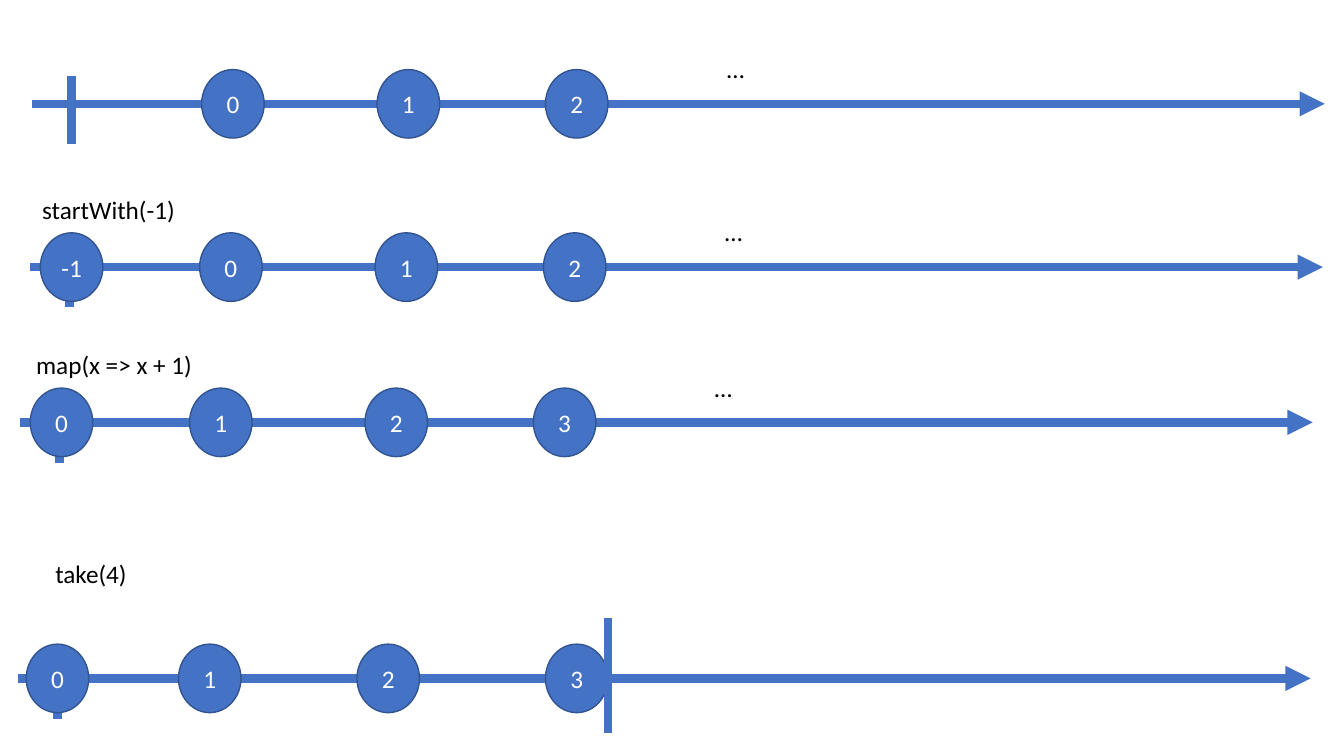
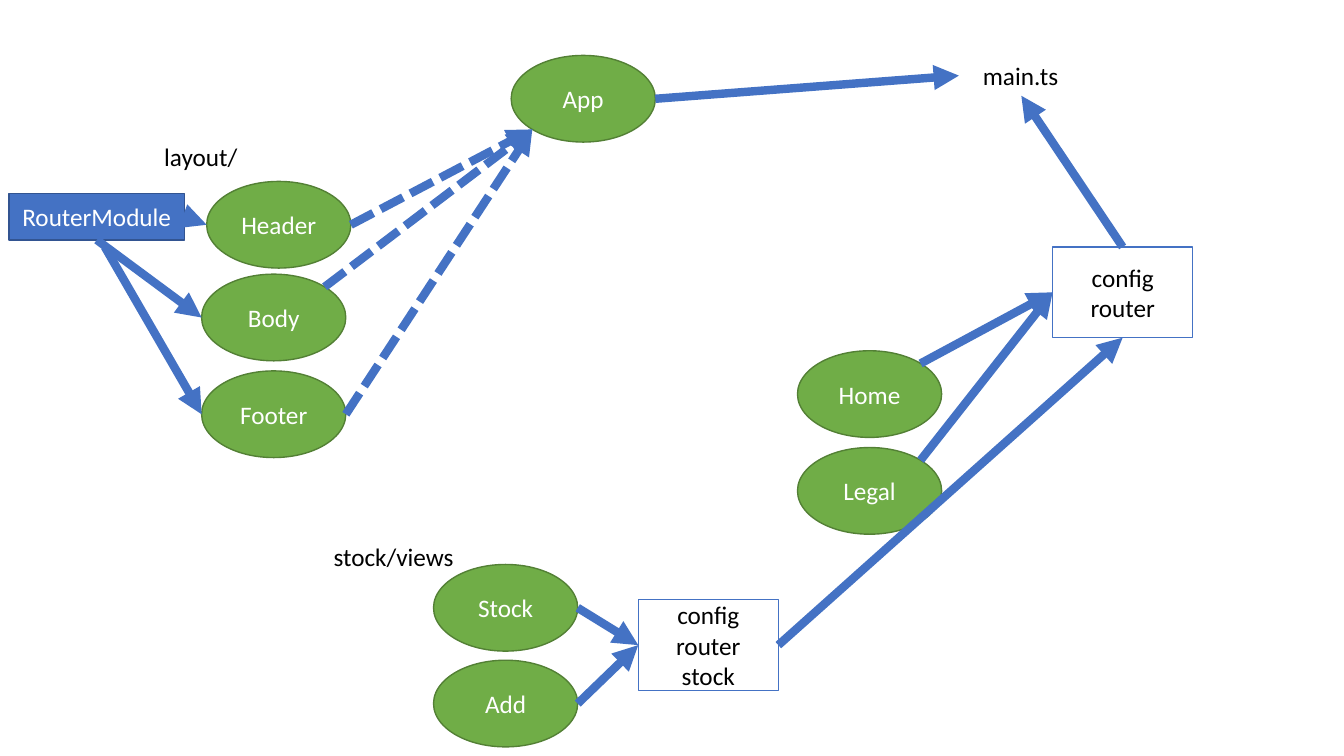
from math import sqrt

from lxml import etree
from pptx import Presentation
from pptx.dml.color import RGBColor
from pptx.enum.dml import MSO_LINE
from pptx.enum.shapes import MSO_CONNECTOR, MSO_SHAPE
from pptx.enum.text import MSO_ANCHOR, MSO_AUTO_SIZE, PP_ALIGN
from pptx.oxml.ns import qn
from pptx.util import Inches, Pt

OVAL, RECTANGLE = MSO_SHAPE.OVAL, MSO_SHAPE.RECTANGLE
STRAIGHT, DASHED = MSO_CONNECTOR.STRAIGHT, MSO_LINE.SQUARE_DOT
CENTER, LEFT = PP_ALIGN.CENTER, PP_ALIGN.LEFT
TOP, MIDDLE = MSO_ANCHOR.TOP, MSO_ANCHOR.MIDDLE
FIT_SHAPE = MSO_AUTO_SIZE.SHAPE_TO_FIT_TEXT

BLUE = RGBColor(0x44, 0x72, 0xC4)
DARK_BLUE = RGBColor(0x32, 0x54, 0x91)
GREEN = RGBColor(0x70, 0xAD, 0x47)
DARK_GREEN = RGBColor(0x53, 0x80, 0x35)
WHITE = RGBColor(0xFF, 0xFF, 0xFF)
BLACK = RGBColor(0, 0, 0)
FONT = "Calibri"

# Slide 1: timelines; horizontal offsets count from the start of each axis
AXIS_LENGTH = 12.82
MARBLE_WIDTH, MARBLE_HEIGHT = 0.62, 0.68
ORIGIN_OFFSET, DOTS_OFFSET, DOTS_RISE = 0.39, 6.79, 0.55
LATER_MARBLES = [1.68, 3.42, 5.09]
SHIFTED_MARBLES = [0.1] + LATER_MARBLES
TIMELINES = [
    dict(start=(0.32, 1.03), values=["0", "1", "2"], marbles=LATER_MARBLES),
    dict(start=(0.3, 2.65), values=["-1", "0", "1", "2"], marbles=SHIFTED_MARBLES,
         label=("startWith(-1)", 0.02, 0.77, 1.53)),
    dict(start=(0.2, 4.19), values=["0", "1", "2", "3"], marbles=SHIFTED_MARBLES,
         label=("map(x => x + 1)", 0.06, 0.77, 1.77)),
    dict(start=(0.18, 6.73), values=["0", "1", "2", "3"], marbles=[0.08, 1.59, 3.36, 5.23],
         label=("take(4)", 0.27, 1.24, 0.92), end=5.85),
]

# Slide 2: components, boxes, labels and the arrows between them
OVAL_SIZE, BOX_SIZE = (1.43, 0.86), (1.39, 0.9)
COMPONENTS = {
    "App": (5.07, 0.55), "Footer": (2, 3.68), "Body": (2, 2.72), "Header": (2.05, 1.8),
    "Home": (7.91, 3.48), "Legal": (7.91, 4.44), "Stock": (4.3, 5.6), "Add": (4.3, 6.55),
}
BOXES = {
    "config router": ((10.44, 2.45), BOX_SIZE, WHITE, BLUE, BLACK),
    "config router stock": ((6.33, 5.95), BOX_SIZE, WHITE, BLUE, BLACK),
    "RouterModule": ((0.09, 1.92), (1.74, 0.46), BLUE, DARK_BLUE, WHITE),
}
LABELS = {"layout/": (1.53, 1.35, 0.94), "stock/views": (3.21, 5.32, 1.4), "main.ts": (9.65, 0.55, 0.96)}
# Ends are (name, side) or a free point in inches
ARROWS = [
    (("Header", "right"), ("App", "bottom left"), DASHED),
    (("Body", "top right"), ("App", "bottom left"), DASHED),
    (("Footer", "right"), ("App", "bottom left"), DASHED),
    (("Home", "top right"), ("config router", "left"), None),
    (("Legal", "top right"), ("config router", "left"), None),
    (("RouterModule", "right"), ("Header", "left"), None),
    (("RouterModule", "bottom"), ("Body", "left"), None),
    ((1.04, 2.45), ("Footer", "left"), None),
    (("Stock", "right"), ("config router stock", "left"), None),
    (("Add", "right"), ("config router stock", "left"), None),
    (("config router stock", "right"), ("config router", "bottom"), None),
    (("config router", "top"), ("main.ts", "bottom"), None),
    (("App", "right"), (9.51, 0.75), None),
]
SIDES = {"top": 0, "left": 1, "bottom": 2, "right": 3}
DIAGONAL = sqrt(0.5)
DIRECTIONS = {
    "left": (-1, 0), "right": (1, 0),
    "top right": (DIAGONAL, -DIAGONAL), "bottom left": (-DIAGONAL, DIAGONAL),
}


def write_text(shape, text, color=BLACK, align=LEFT, anchor=TOP, wrap=True):
    frame = shape.text_frame
    frame.word_wrap = wrap
    frame.vertical_anchor = anchor
    paragraph = frame.paragraphs[0]
    paragraph.alignment = align
    run = paragraph.add_run()
    run.text = text
    run.font.name, run.font.size, run.font.color.rgb = FONT, Pt(18), color


def add_node(slide, kind, position, size, text, fill, outline, color=WHITE):
    shape = slide.shapes.add_shape(kind, *map(Inches, (*position, *size)))
    shape.shadow.inherit = False
    shape.fill.solid()
    shape.fill.fore_color.rgb = fill
    shape.line.color.rgb = outline
    shape.line.width = Pt(1)
    write_text(shape, text, color=color, align=CENTER, anchor=MIDDLE)
    return shape


def add_label(slide, text, left, top, width):
    box = slide.shapes.add_textbox(*map(Inches, (left, top, width, 0.4)))
    write_text(box, text, wrap=False)
    box.text_frame.auto_size = FIT_SHAPE
    return box


def add_line(slide, start, end, arrow=False, dash=None):
    connector = slide.shapes.add_connector(STRAIGHT, *map(Inches, (*start, *end)))
    connector.line.color.rgb = BLUE
    connector.line.width = Pt(6)
    if dash is not None:
        connector.line.dash_style = dash
    properties = connector.element.spPr
    if arrow:
        etree.SubElement(properties.find(qn("a:ln")), qn("a:tailEnd"), type="triangle")
    etree.SubElement(properties, qn("a:effectLst"))
    return connector


def draw_timeline(slide, start, values, marbles, label=None, end=None):
    left, axis = start
    add_line(slide, start, (left + AXIS_LENGTH, axis), arrow=True)
    origin = left + ORIGIN_OFFSET
    add_line(slide, (origin, axis - 0.28), (origin, axis + 0.4))
    for value, offset in zip(values, marbles):
        add_node(slide, OVAL, (left + offset, axis - MARBLE_HEIGHT / 2),
                 (MARBLE_WIDTH, MARBLE_HEIGHT), value, BLUE, DARK_BLUE)
    if end is None:
        add_label(slide, "…", left + DOTS_OFFSET, axis - DOTS_RISE, 0.38)
    else:
        add_line(slide, (left + end, axis - 0.6), (left + end, axis + 0.54))
    if label:
        text, offset, rise, width = label
        add_label(slide, text, left + offset, axis - rise, width)


def oval_point(name, side):
    """Point on a component's outline, in inches."""
    return tuple(corner + length / 2 * (1 + step) for corner, length, step
                 in zip(COMPONENTS[name], OVAL_SIZE, DIRECTIONS[side]))


def draw_arrow(slide, joints, start, end, dash):
    points = [oval_point(*place) if place[0] in COMPONENTS else place for place in (start, end)]
    # Joined ends start at the corner and move when they are connected
    points = [(0, 0) if point[0] in joints else point for point in points]
    connector = add_line(slide, *points, arrow=True, dash=dash)
    for place, connect in ((start, connector.begin_connect), (end, connector.end_connect)):
        if place[0] in joints:
            connect(joints[place[0]], SIDES[place[1]])


def draw_components(slide):
    joints = {}
    for name, position in COMPONENTS.items():
        add_node(slide, OVAL, position, OVAL_SIZE, name, GREEN, DARK_GREEN)
    for name, (position, size, fill, outline, color) in BOXES.items():
        joints[name] = add_node(slide, RECTANGLE, position, size, name, fill, outline, color)
    for name, place in LABELS.items():
        joints[name] = add_label(slide, name, *place)
    for arrow in ARROWS:
        draw_arrow(slide, joints, *arrow)


def main():
    presentation = Presentation()
    presentation.slide_width, presentation.slide_height = Inches(13.33), Inches(7.5)
    blank = presentation.slide_layouts[6]
    timeline_slide = presentation.slides.add_slide(blank)
    for timeline in TIMELINES:
        draw_timeline(timeline_slide, **timeline)
    draw_components(presentation.slides.add_slide(blank))
    presentation.save("out.pptx")


if __name__ == "__main__":
    main()
